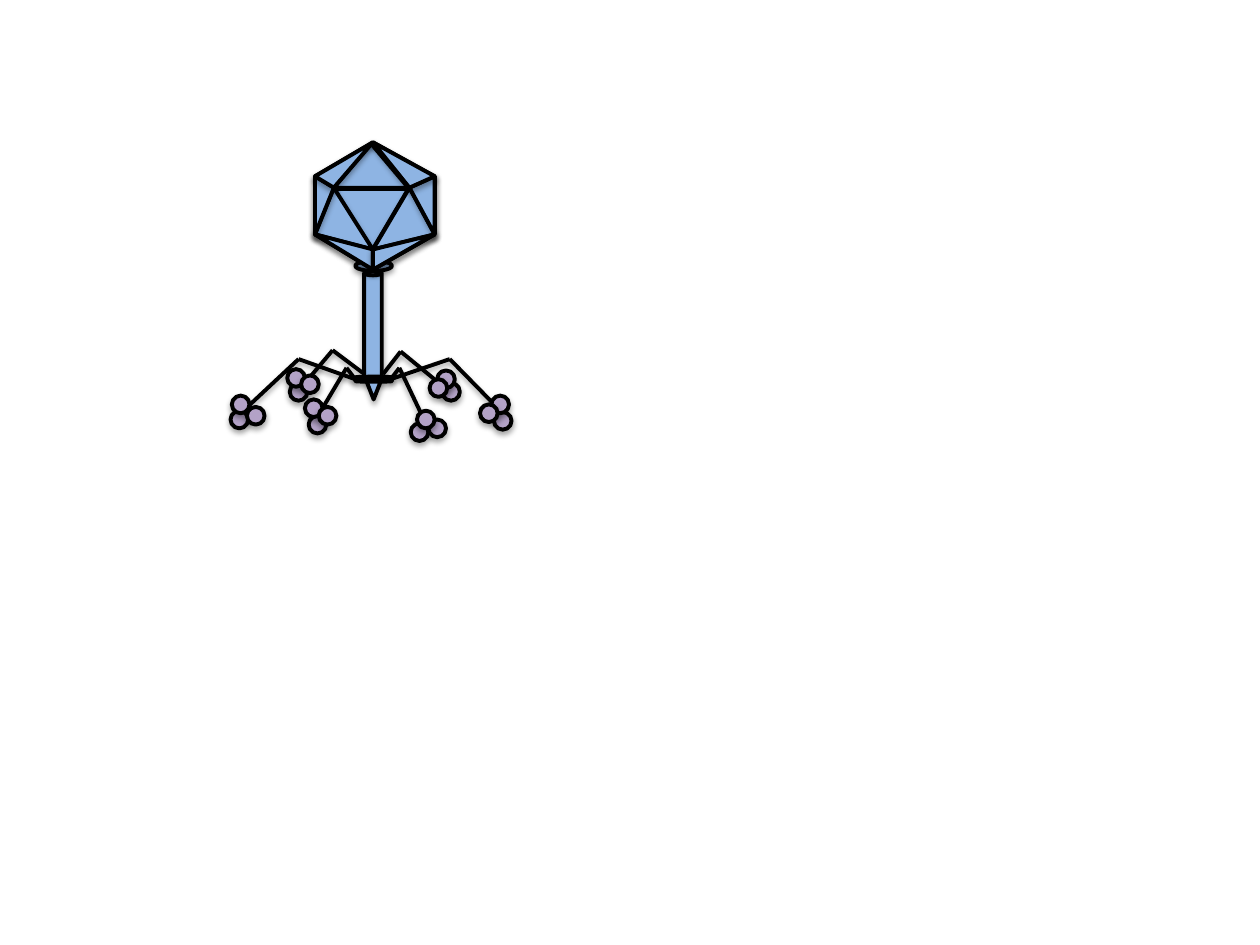
from dataclasses import dataclass
from itertools import pairwise

from pptx import Presentation
from pptx.dml.color import RGBColor
from pptx.enum.shapes import MSO_CONNECTOR as Link, MSO_SHAPE as Shape
from pptx.oxml import parse_xml
from pptx.oxml.ns import nsdecls
from pptx.util import Cm, Pt

COLORS = {"body": "8EB4E3", "foot": "B3A2C7", "plate": "FFFFFF", "line": "000000"}
Point = tuple[float, float]
BALL = 0.14


@dataclass
class Leg:
    joints: list[Point]  # hip, knee (both segment ends), tip
    balls: list[Point]   # top left corner of each ball, back to front


LEGS = [
    Leg([(2.82, 3.01), (2.37, 2.85), (1.9, 3.29)],
        [(1.83, 3.26), (1.84, 3.14), (1.96, 3.23)]),
    Leg([(2.88, 2.96), (2.64, 2.78), (2.37, 3.1)],
        [(2.3, 3.04), (2.28, 2.93), (2.39, 2.98)]),
    Leg([(2.82, 3.01), (2.75, 2.92), (2.53, 3.29)],
        [(2.45, 3.3), (2.42, 3.17), (2.53, 3.23)]),
    Leg([(3.04, 2.97), (3.18, 2.79), (3.57, 3.11)],
        [(3.51, 3.04), (3.47, 2.94), (3.41, 3.01)]),
    Leg([(3.1, 3.01), (3.57, 2.85), (4.04, 3.33)],
        [(3.92, 3.27), (3.9, 3.14), (3.81, 3.21)]),
    Leg([(3.1, 3.01), (3.17, 2.92), (3.36, 3.32)],
        [(3.4, 3.33), (3.26, 3.36), (3.31, 3.26)]),
]

# Capsid corners: outer hexagon and inner triangle
CORNERS = {
    "top": (2.96, 1.13), "upper_left": (2.5, 1.4), "upper_right": (3.45, 1.4),
    "lower_left": (2.5, 1.86), "lower_right": (3.45, 1.86), "bottom": (2.96, 2.14),
    "in_left": (2.65, 1.49), "in_right": (3.25, 1.49), "in_bottom": (2.96, 1.98),
}
EDGES = [
    ("lower_right", "bottom"), ("in_bottom", "bottom"), ("lower_left", "bottom"),
    ("lower_left", "in_bottom"), ("lower_right", "in_bottom"),
    ("upper_left", "lower_left"), ("upper_right", "lower_right"),
    ("in_left", "lower_left"), ("in_right", "lower_right"),
    ("top", "upper_right"), ("upper_left", "top"),
    ("in_right", "upper_right"), ("upper_left", "in_left"),
]
FACES = [
    ("in_left", "in_bottom", "lower_left"), ("in_bottom", "in_right", "lower_right"),
    ("upper_left", "lower_left", "in_left"), ("in_right", "lower_right", "upper_right"),
    ("upper_left", "in_left", "top"), ("in_right", "upper_right", "top"),
    ("lower_left", "bottom", "in_bottom"), ("in_bottom", "lower_right", "bottom"),
]


def inches(value: float) -> Cm:
    return Cm(value * 2.54)


def style_line(s) -> None:
    s.line.color.rgb = RGBColor.from_string(COLORS["line"])
    s.line.width = Pt(2.25)


def add_shadow(s) -> None:
    s.element.spPr.append(parse_xml(
        f'<a:effectLst {nsdecls("a")}><a:outerShdw blurRad="40000" dist="23000" '
        f'dir="5400000" rotWithShape="0"><a:srgbClr val="{COLORS["line"]}">'
        '<a:alpha val="35000"/></a:srgbClr></a:outerShdw></a:effectLst>'))


def style_shape(s, color: str, shadow: bool = True) -> None:
    s.fill.solid()
    s.fill.fore_color.rgb = RGBColor.from_string(COLORS[color])
    style_line(s)
    if shadow:
        add_shadow(s)
    else:
        s.shadow.inherit = False


def add_part(shapes, kind: Shape, box: tuple[float, float, float, float],
             color: str = "body", rotation: float = 0, shadow: bool = True) -> None:
    s = shapes.add_shape(kind, *map(inches, box))
    s.rotation = rotation
    style_shape(s, color, shadow)


def add_line(shapes, start: Point, end: Point) -> None:
    s = shapes.add_connector(Link.STRAIGHT, *map(inches, (*start, *end)))
    style_line(s)
    add_shadow(s)


def add_face(shapes, names: tuple[str, ...]) -> None:
    first, *rest = [tuple(map(inches, CORNERS[n])) for n in names]
    builder = shapes.build_freeform(*first)
    builder.add_line_segments(rest, close=True)
    style_shape(builder.convert_to_shape(), "body")


def main() -> None:
    prs = Presentation()
    prs.slide_width, prs.slide_height = Cm(25.4), Cm(19.05)
    shapes = prs.slides.add_slide(prs.slide_layouts[6]).shapes

    # Central capsid faces
    add_part(shapes, Shape.ISOSCELES_TRIANGLE, (2.65, 1.5, 0.59, 0.5),
             rotation=180, shadow=False)
    add_part(shapes, Shape.ISOSCELES_TRIANGLE, (2.65, 1.14, 0.59, 0.35), shadow=False)

    # Tail and base plate
    add_part(shapes, Shape.CAN, (2.89, 2.15, 0.14, 0.85))
    add_part(shapes, Shape.CAN, (2.82, 2.99, 0.29, 0.04), "plate")

    # Legs, spike and feet
    for leg in LEGS:
        for start, end in pairwise(leg.joints):
            add_line(shapes, start, end)
    add_part(shapes, Shape.ISOSCELES_TRIANGLE, (2.91, 3.03, 0.11, 0.14), rotation=180)
    for leg in LEGS:
        for x, y in leg.balls:
            add_part(shapes, Shape.OVAL, (x, y, BALL, BALL), "foot")

    # Collar, then capsid edges and outer faces
    add_part(shapes, Shape.OVAL, (2.82, 2.07, 0.29, 0.08))
    for start, end in EDGES:
        add_line(shapes, CORNERS[start], CORNERS[end])
    for names in FACES:
        add_face(shapes, names)

    prs.save("out.pptx")


if __name__ == "__main__":
    main()
